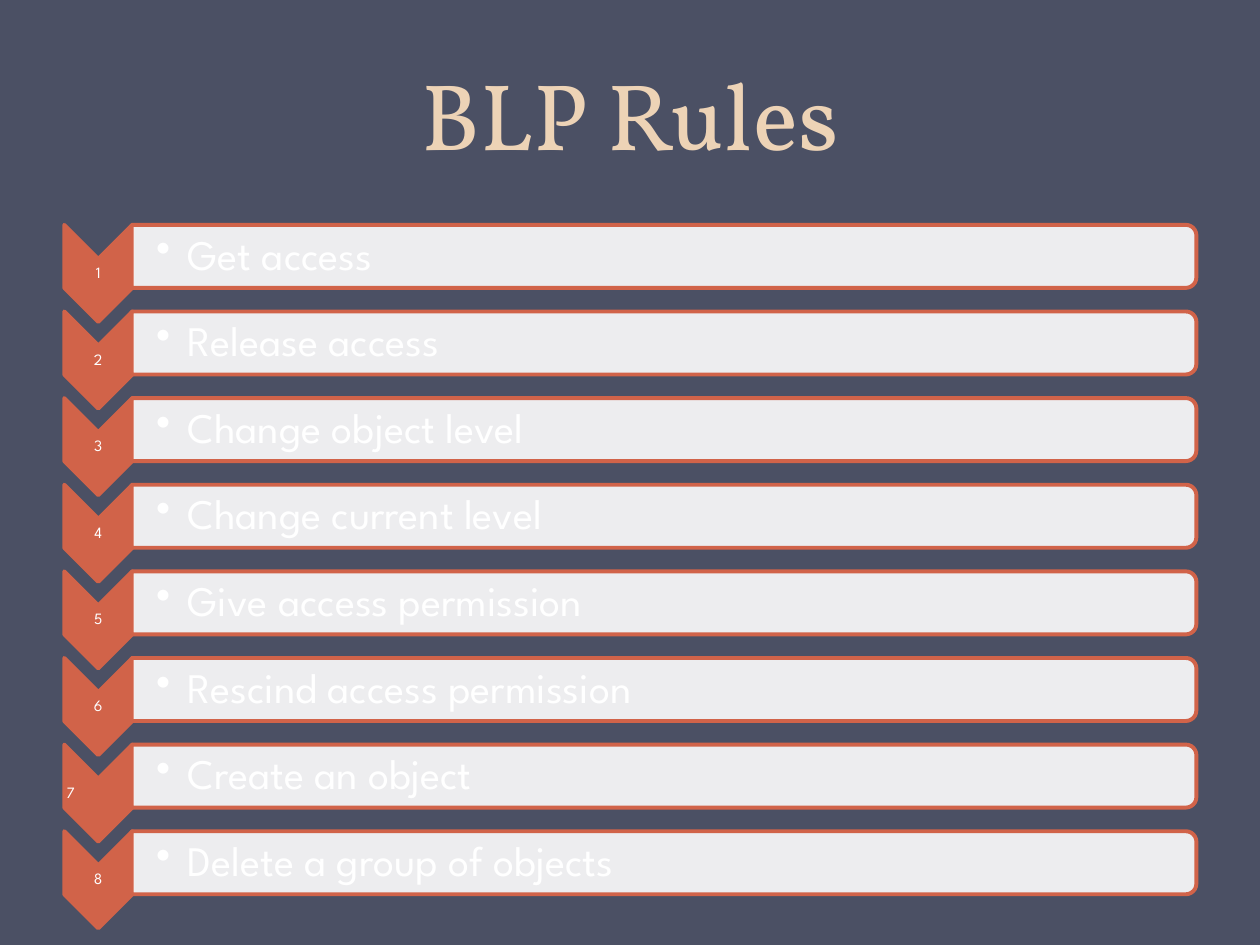
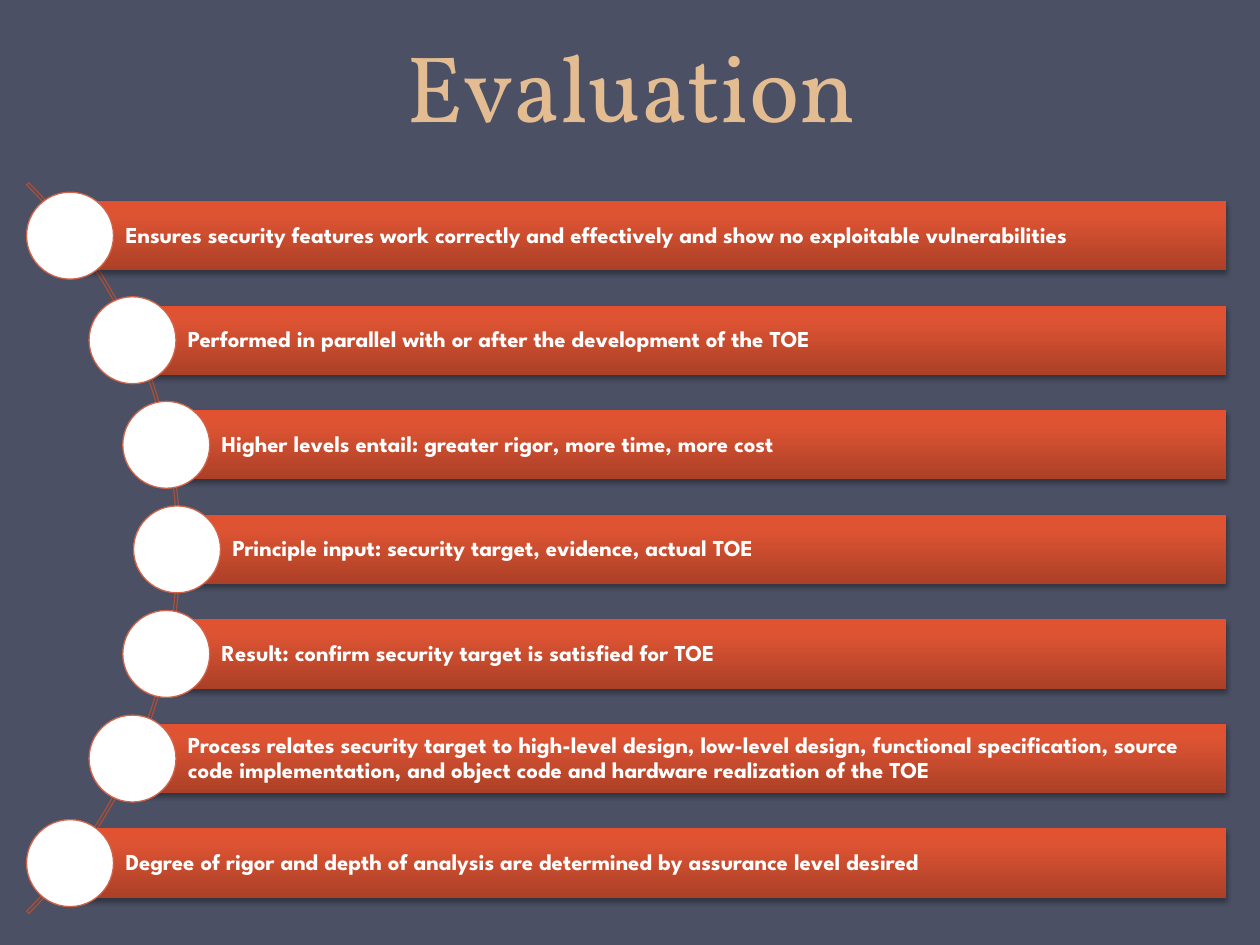
from math import sqrt
from lxml.etree import SubElement as Sub
from pptx import Presentation
from pptx.dml.color import RGBColor as RGB
from pptx.enum.shapes import MSO_SHAPE as Kind
from pptx.enum.text import MSO_ANCHOR as Anchor, PP_ALIGN as Align
from pptx.oxml.ns import qn
from pptx.util import Inches, Pt

# Content
RULES = [
    ("1", "Get access"),
    ("2", "Release access"),
    ("3", "Change object level"),
    ("4", "Change current level"),
    ("5", "Give access permission"),
    ("6", "Rescind access permission"),
    ("7\t", "Create an object"),
    ("8", "Delete a group of objects"),
]
POINTS = [
    "Ensures security features work correctly and effectively and show no exploitable vulnerabilities",
    "Performed in parallel with or after the development of the TOE",
    "Higher levels entail: greater rigor, more time, more cost",
    "Principle input: security target, evidence, actual TOE",
    "Result: confirm security target is satisfied for TOE",
    "Process relates security target to high-level design, low-level design, functional "
    "specification, source code implementation, and object code and hardware realization of the TOE",
    "Degree of rigor and depth of analysis are determined by assurance level desired",
]

# Shared style
COLORS = {
    "back": "4B5064", "cream": "EDD3B6", "sand": "E3BC92", "white": "FFFFFF",
    "rust": "D16349", "arc": "A74F3A", "black": "000000",
}
BLEND = [(0, "AB4027"), (80, "DE5433"), (100, "E35230")]
HEAD, BODY = "Vollkorn", "League Spartan"


def rgb(name):
    return RGB.from_string(COLORS[name])


def new_slide(deck, title, color, box):
    slide = deck.slides.add_slide(deck.slide_layouts[6])
    slide.background.fill.solid()
    slide.background.fill.fore_color.rgb = rgb("back")
    text = add_text(slide, box)
    para = write(text, title, 54, color, HEAD, (0.1, 0.05, 0.1, 0.05), Anchor.BOTTOM)
    para.alignment = Align.CENTER
    para.line_spacing = Pt(58)
    return slide


def add_text(slide, box):
    return slide.shapes.add_textbox(*map(Inches, box))


def write(shape, words, size, color, font, pad, anchor=Anchor.MIDDLE, bold=False):
    frame = shape.text_frame
    frame.word_wrap = True
    frame.vertical_anchor = anchor
    (frame.margin_left, frame.margin_top,
     frame.margin_right, frame.margin_bottom) = map(Inches, pad)
    para = frame.paragraphs[0]
    para.alignment = Align.LEFT
    para.line_spacing = 0.9
    run = para.add_run()
    run.text = words
    run.font.size, run.font.name, run.font.bold = Pt(size), font, bold
    run.font.color.rgb = rgb(color)
    return para


def add_shape(slide, kind, box, fill=None, line=None, width=0.75, turn=0):
    shape = slide.shapes.add_shape(kind, *map(Inches, box))
    shape.shadow.inherit = False
    shape.rotation = turn
    if fill:
        shape.fill.solid()
        shape.fill.fore_color.rgb = rgb(fill)
    else:
        shape.fill.background()
    if line:
        shape.line.color.rgb = rgb(line)
        shape.line.width = Pt(width)
    else:
        shape.line.fill.background()
    return shape


def upright(mid_x, mid_y, wide, high):
    """Box of a shape that shows wide by high after a quarter turn."""
    return mid_x - high / 2, mid_y - wide / 2, high, wide


# XML helpers
def add_color(node, value, alpha=None):
    color = Sub(node, qn("a:srgbClr"), val=value)
    if alpha is not None:
        Sub(color, qn("a:alpha"), val=str(alpha * 1000))


def fade(shape, alpha):
    color = shape.fill._xPr.find(qn("a:solidFill"))[0]
    Sub(color, qn("a:alpha"), val=str(alpha * 1000))


def add_bullet(para, indent):
    props = para._p.get_or_add_pPr()
    props.set("marL", str(Inches(indent)))
    props.set("indent", str(-Inches(indent)))
    Sub(props, qn("a:buChar"), char="•")


def blend(shape):
    shape.fill.gradient()
    grad = shape.fill._xPr.find(qn("a:gradFill"))
    for node in list(grad):
        grad.remove(node)
    stops = Sub(grad, qn("a:gsLst"))
    for place, value in BLEND:
        add_color(Sub(stops, qn("a:gs"), pos=str(place * 1000)), value)
    Sub(grad, qn("a:lin"), ang=str(270 * 60000), scaled="0")


def add_shade(shape):
    effects = shape._element.spPr.find(qn("a:effectLst"))
    shade = Sub(effects, qn("a:outerShdw"), blurRad=str(Pt(3.1)), dist=str(Pt(1.8)),
                dir=str(90 * 60000), rotWithShape="0")
    add_color(shade, COLORS["black"], 35)


# Slide 1: numbered chevrons with bars
def rules_slide(deck):
    slide = new_slide(deck, "BLP Rules", "cream", (0.5, 0, 9, 1.39))
    top, step = 1.785, 0.6875
    for i, (mark, rule) in enumerate(RULES):
        y = top + i * step
        add_shape(slide, Kind.CHEVRON, upright(0.78, y + 0.385, 0.54, 0.77),
                  "rust", "rust", 2.25, 90)
        label = add_text(slide, (0.51, y + 0.27, 0.54, 0.23))
        write(label, mark, 9, "white", BODY, [0.01] * 4).alignment = Align.CENTER
        bar = add_shape(slide, Kind.ROUND_2_SAME_RECTANGLE,
                        upright(5.27, y + 0.25, 8.45, 0.5), "white", "rust", 2.25, 90)
        fade(bar, 90)
        text = add_text(slide, (1.05, y + 0.025, 8.43, 0.45))
        para = write(text, rule, 24, "white", BODY, (0.19, 0.02, 0.02, 0.02))
        para.level = 1
        add_bullet(para, 0.25)


# Slide 2: bands whose dots follow an arc
def evaluation_slide(deck):
    slide = new_slide(deck, "Evaluation", "sand", (0.51, -0.58, 9, 1.75))
    mid_x, mid_y, size = -2.67, 4.35, 8.2
    arc = add_shape(slide, Kind.BLOCK_ARC,
                    (mid_x - size / 2, mid_y - size / 2, size, size), line="arc")
    for i, value in enumerate((189, 27, 0.003)):
        arc.adjustments[i] = value
    reach, step, right = 4.075, 0.83, 9.73
    high, dot = 0.55, 0.69
    for i, point in enumerate(POINTS):
        rise = (i - len(POINTS) // 2) * step
        x, y = mid_x + sqrt(reach ** 2 - rise ** 2), mid_y + rise
        band = add_shape(slide, Kind.RECTANGLE, (x, y - high / 2 + 0.01, right - x, high))
        blend(band)
        add_shade(band)
        write(band, point, 13, "white", BODY, (0.44, 0.04, 0.04, 0.04), bold=True)
        add_shape(slide, Kind.OVAL, (x - dot / 2, y - dot / 2 + 0.01, dot, dot),
                  "white", "rust")


def main():
    deck = Presentation()
    deck.slide_width, deck.slide_height = Inches(10), Inches(7.5)
    rules_slide(deck)
    evaluation_slide(deck)
    deck.save("out.pptx")


if __name__ == "__main__":
    main()
